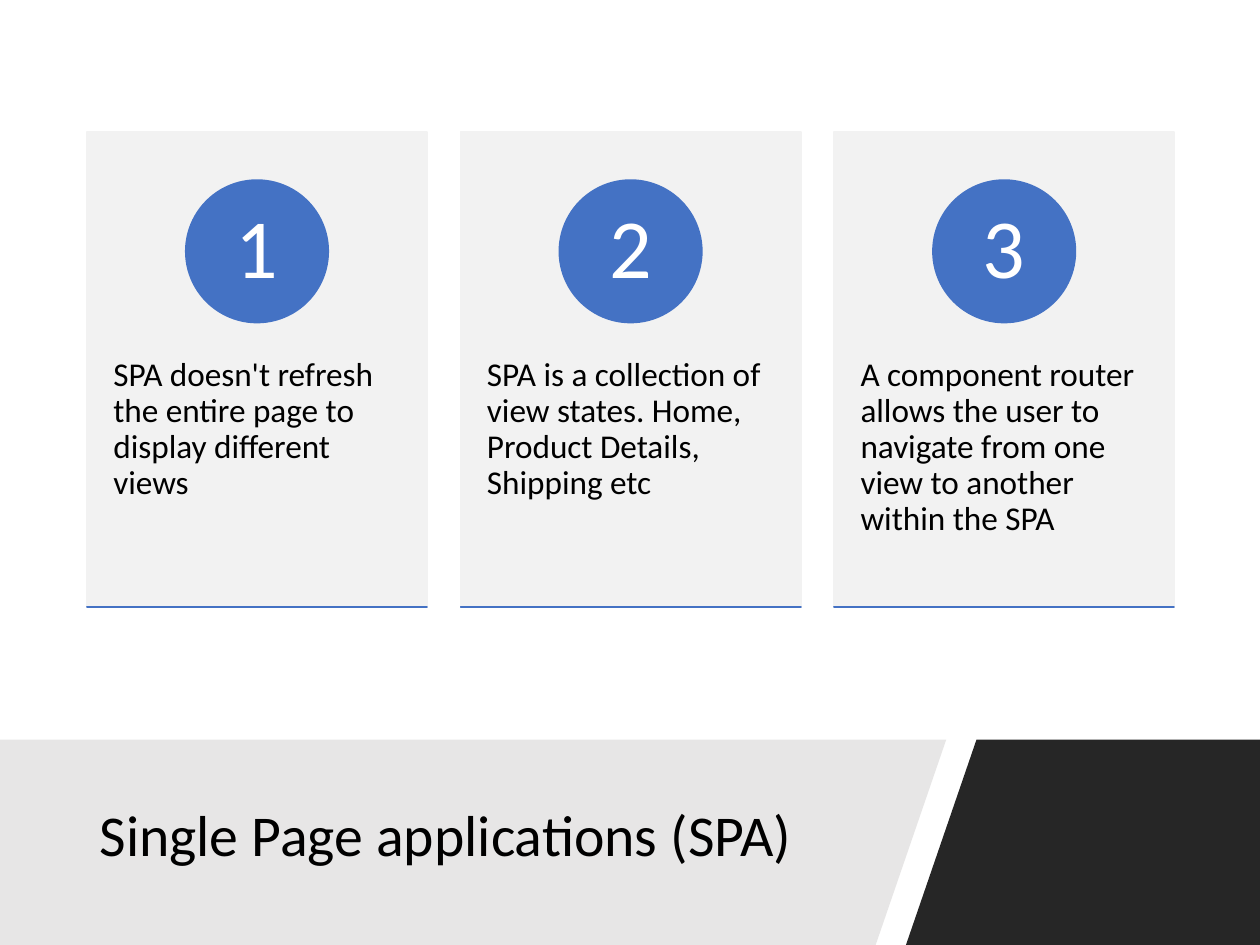
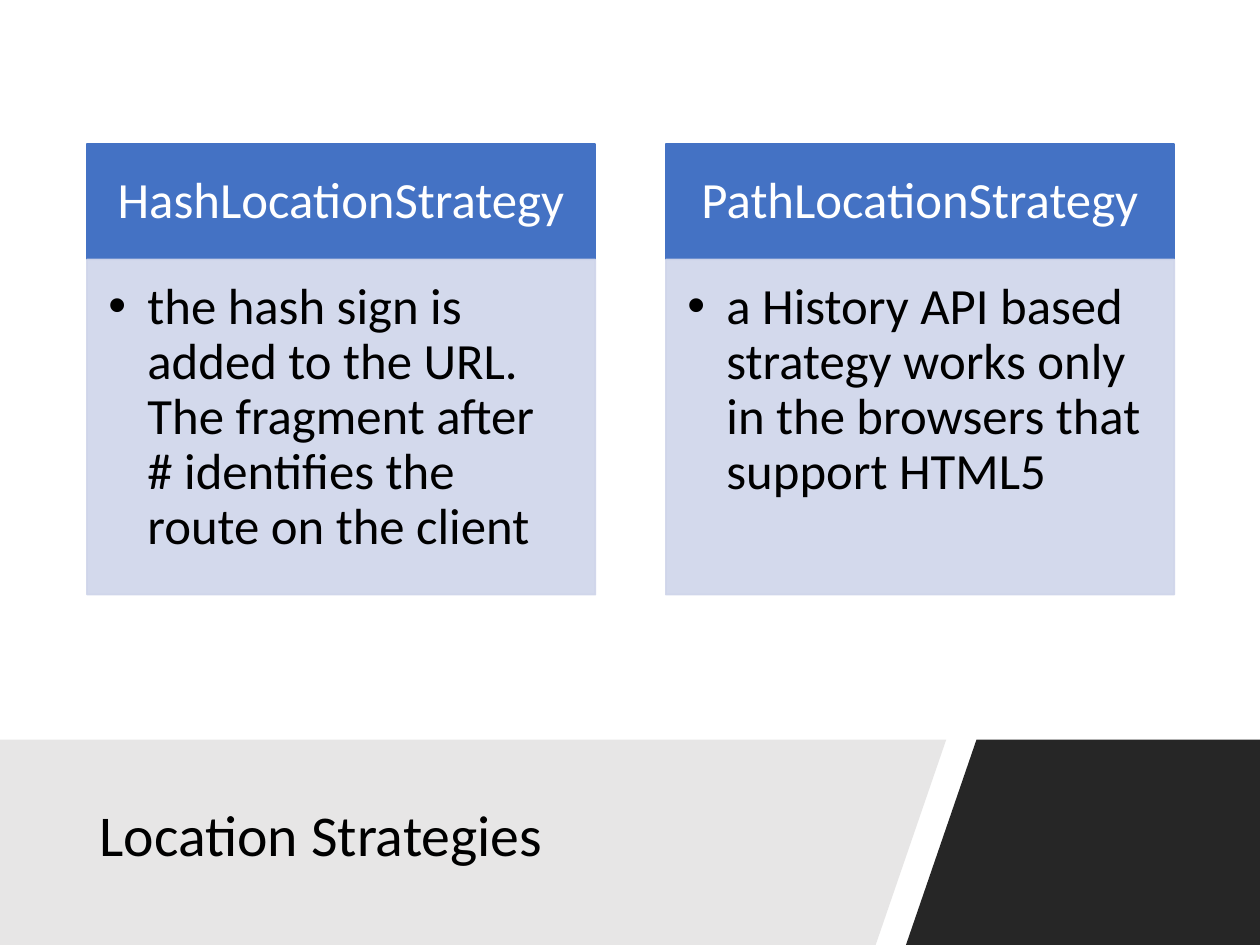
from pptx import Presentation
from pptx.dml.color import RGBColor
from pptx.enum.shapes import MSO_SHAPE as Preset
from pptx.enum.text import MSO_ANCHOR as Anchor, MSO_AUTO_SIZE as AutoSize, PP_ALIGN as Align
from pptx.oxml.ns import qn
from pptx.util import Inches, Pt
from lxml.etree import SubElement

COLUMNS, ROWS = 100, 75
MARGIN, CONTENT_WIDTH = 6.9, 86.3
BAND_TOP = 58.7
FONT = "Calibri"
BLACK, WHITE, BLUE = "000000", "FFFFFF", "4472C4"
CARD_GREY, BAND_GREY, BAND_DARK, PALE_BLUE = "F2F2F2", "E7E6E6", "262626", "CFD5EA"

SPA_FACTS = [
    "SPA doesn't refresh the entire page to display different views",
    "SPA is a collection of view states. Home, Product Details, Shipping etc",
    "A component router allows the user to navigate from one view to another within the SPA",
]
STRATEGIES = {
    "HashLocationStrategy": "the hash sign is added to the URL. The fragment after # identifies the route on the client",
    "PathLocationStrategy": "a History API based strategy works only in the browsers that support HTML5",
}


def cells(count):
    return Inches(count / 10)


def color(hex_code):
    return RGBColor.from_string(hex_code)


def write(frame, text, size, ink=BLACK, align=Align.LEFT, anchor=Anchor.TOP,
          insets=(1, 0.5, 1, 0.5), bullet=False):
    frame.word_wrap = True
    frame.auto_size = AutoSize.NONE
    frame.vertical_anchor = anchor
    frame.margin_left, frame.margin_top, frame.margin_right, frame.margin_bottom = map(cells, insets)
    paragraph = frame.paragraphs[0]
    paragraph.alignment = align
    paragraph.line_spacing = 0.9
    run = paragraph.add_run()
    run.text = text
    run.font.name = FONT
    run.font.size = Pt(size)
    run.font.color.rgb = color(ink)
    if bullet:
        properties = paragraph._p.get_or_add_pPr()
        properties.set("marL", str(cells(3.1)))
        properties.set("indent", str(-cells(3.1)))
        SubElement(properties, qn("a:buFont"), typeface="Arial")
        SubElement(properties, qn("a:buChar"), char="•")


class Deck:
    def __init__(self):
        self.presentation = Presentation()
        self.presentation.slide_width = cells(COLUMNS)
        self.presentation.slide_height = cells(ROWS)
        self.slide = None

    def start_slide(self, heading):
        self.slide = self.presentation.slides.add_slide(self.presentation.slide_layouts[5])
        self.band([(77.5, BAND_TOP), (COLUMNS, BAND_TOP), (COLUMNS, ROWS), (71.9, ROWS)], BAND_DARK)
        self.band([(0, BAND_TOP), (75.1, BAND_TOP), (69.5, ROWS), (0, ROWS)], BAND_GREY)
        self.title(heading)

    def title(self, heading):
        title = self.slide.shapes.title
        title.left, title.top, title.width, title.height = map(cells, (MARGIN, 60.5, 63.3, 12))
        write(title.text_frame, heading, 33, anchor=Anchor.MIDDLE)
        self.slide.shapes._spTree.append(title._element)

    def band(self, corners, fill):
        (first_x, first_y), *others = [(cells(x), cells(y)) for x, y in corners]
        builder = self.slide.shapes.build_freeform(first_x, first_y)
        builder.add_line_segments(others, close=True)
        band = builder.convert_to_shape()
        band.shadow.inherit = False
        band.fill.solid()
        band.fill.fore_color.rgb = color(fill)
        band.line.fill.background()

    def panel(self, left, top, width, height, fill, preset=Preset.RECTANGLE, opacity=None):
        panel = self.slide.shapes.add_shape(preset, *map(cells, (left, top, width, height)))
        panel.shadow.inherit = False
        panel.fill.solid()
        panel.fill.fore_color.rgb = color(fill)
        panel.line.color.rgb = color(fill)
        panel.line.width = Pt(1)
        if opacity:
            for tint in panel._element.spPr.iter(qn("a:srgbClr")):
                SubElement(tint, qn("a:alpha"), val=str(opacity * 1000))
        return panel.text_frame

    def label(self, left, top, width, height, text, **text_format):
        box = self.slide.shapes.add_textbox(*map(cells, (left, top, width, height)))
        write(box.text_frame, text, **text_format)

    def columns(self, count, gap):
        width = (CONTENT_WIDTH - gap * (count - 1)) / count
        return width, [MARGIN + index * (width + gap) for index in range(count)]


def add_spa_slide(deck):
    deck.start_slide("Single Page applications (SPA)")
    top, height, badge = 10.5, 37.7, 11.3
    width, lefts = deck.columns(len(SPA_FACTS), 2.65)
    for number, (left, fact) in enumerate(zip(lefts, SPA_FACTS), 1):
        deck.panel(left, top, width, height, CARD_GREY)
        deck.label(left, 24.8, width, 22.6, fact, size=19, insets=(2.1, 3.6, 2.1, 3.6))
        circle = deck.panel(left + (width - badge) / 2, 14.3, badge, badge, BLUE, Preset.OVAL)
        write(circle, str(number), 48, ink=WHITE, align=Align.CENTER, anchor=Anchor.MIDDLE,
              insets=(0.9, 0.1, 0.9, 0.1))
        deck.panel(left, top + height, width, 0, BLUE)


def add_strategies_slide(deck):
    deck.start_slide("Location Strategies")
    top, header_height, body_height = 11.45, 9.15, 26.6
    width, lefts = deck.columns(len(STRATEGIES), 5.6)
    for left, (strategy, explanation) in zip(lefts, STRATEGIES.items()):
        header = deck.panel(left, top, width, header_height, BLUE)
        write(header, strategy, 29, ink=WHITE, align=Align.CENTER, anchor=Anchor.MIDDLE,
              insets=(2.3, 1.3, 2.3, 1.3))
        body = deck.panel(left, top + header_height, width, body_height, PALE_BLUE, opacity=90)
        write(body, explanation, 29, insets=(1.7, 1.7, 2.3, 2.5), bullet=True)


def main():
    deck = Deck()
    add_spa_slide(deck)
    add_strategies_slide(deck)
    deck.presentation.save("out.pptx")


if __name__ == "__main__":
    main()
